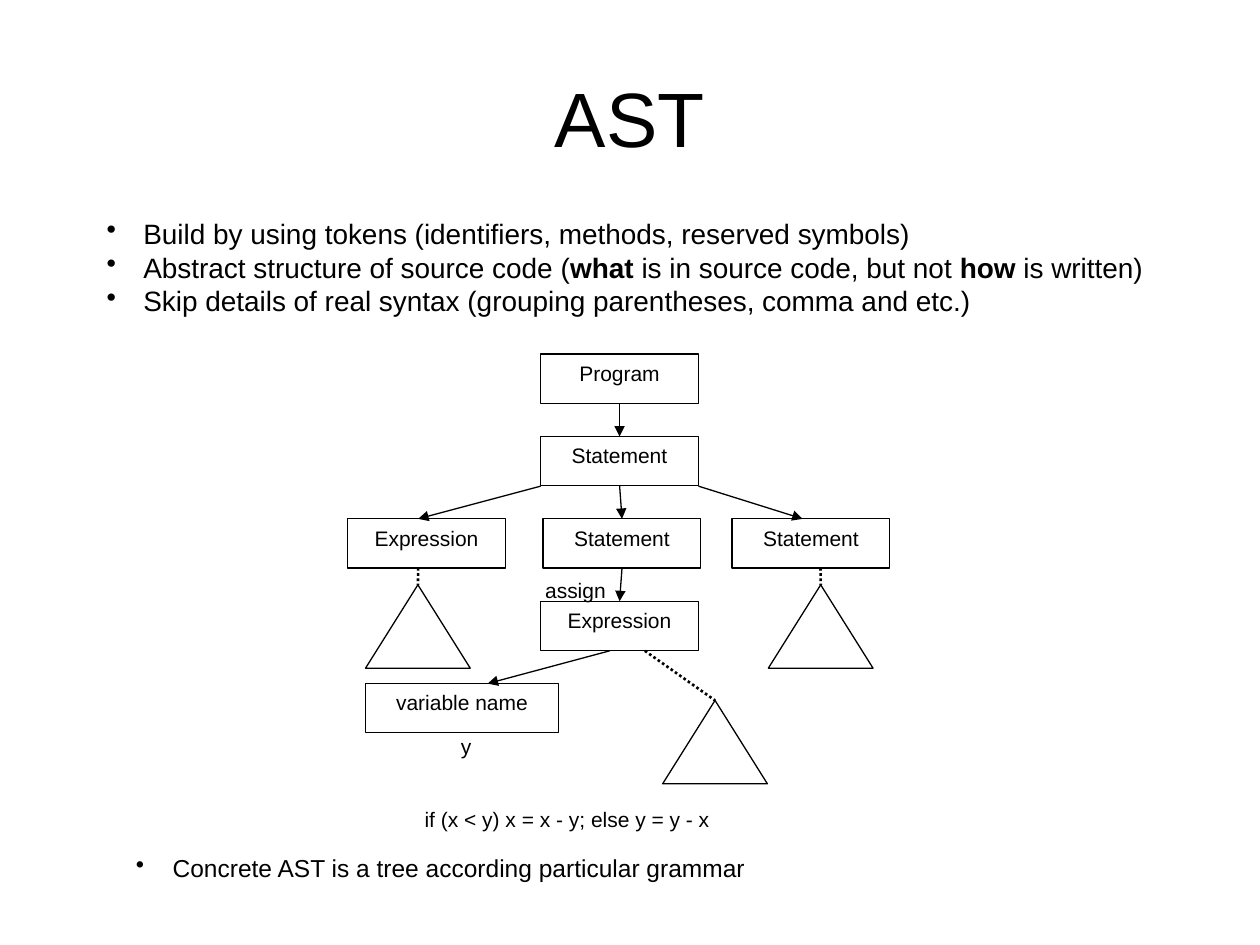
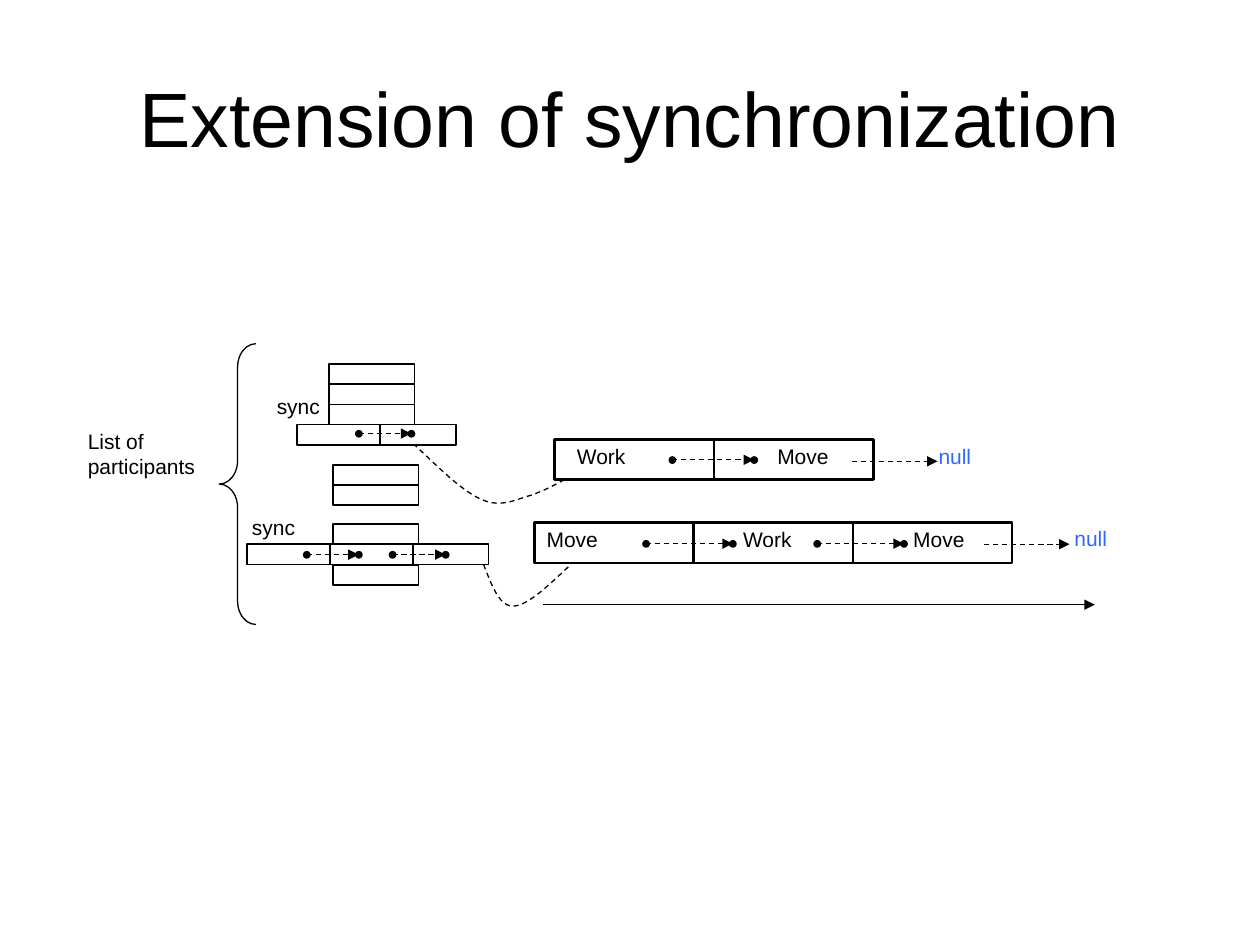
from lxml.etree import SubElement
from pptx import Presentation
from pptx.dml.color import RGBColor
from pptx.enum.dml import MSO_LINE
from pptx.enum.shapes import MSO_CONNECTOR, MSO_SHAPE
from pptx.enum.text import MSO_ANCHOR, PP_ALIGN
from pptx.oxml.ns import qn
from pptx.util import Cm, Pt

COLORS = {"ink": "000000", "paper": "FFFFFF", "null": "3366FF"}
FONT = "Arial"


def color(name):
    """Return the named colour."""
    return RGBColor.from_string(COLORS[name])


def bezier(a, b, c, d, steps=12):
    """Return points along a cubic curve, without its start."""
    points = []
    for i in range(1, steps + 1):
        t = i / steps
        parts = ((1 - t) ** 3, 3 * t * (1 - t) ** 2, 3 * t * t * (1 - t), t ** 3)
        points.append(tuple(sum(k * p[n] for k, p in zip(parts, (a, b, c, d))) for n in (0, 1)))
    return points


class Deck:
    """Holds the style and the current slide."""

    def __init__(self):
        """Start a 10 by 7.5 inch deck."""
        self.file = Presentation()
        self.file.slide_width, self.file.slide_height = Cm(25.4), Cm(19.05)

    def page(self, title):
        """Add a slide with its title."""
        self.slide = self.file.slides.add_slide(self.file.slide_layouts[6])
        self.shapes = self.slide.shapes
        box = self.text(title, 1.27, 0.76, 22.86, 3.18, size=44, align=PP_ALIGN.CENTER)
        box.text_frame.vertical_anchor = MSO_ANCHOR.MIDDLE

    def style(self, para, size=12, ink="ink", align=PP_ALIGN.LEFT):
        """Set the font and alignment of a paragraph."""
        para.alignment = align
        para.font.name, para.font.size = FONT, Pt(size)
        para.font.color.rgb = color(ink)

    def text(self, words, x, y, w, h, **look):
        """Add a wrapped text box."""
        box = self.shapes.add_textbox(Cm(x), Cm(y), Cm(w), Cm(h))
        box.text_frame.word_wrap = True
        para = box.text_frame.paragraphs[0]
        para.text = words
        self.style(para, **look)
        return box

    def list(self, items, x, y, w, h, size):
        """Add bullets; each item is a list of runs, every second one bold."""
        frame = self.text("", x, y, w, h).text_frame
        for i, item in enumerate(items):
            para = frame.add_paragraph() if i else frame.paragraphs[0]
            for n, words in enumerate(item):
                run = para.add_run()
                run.text = words
                if n % 2:
                    run.font.bold = True
            self.style(para, size)
            props = para._p.get_or_add_pPr()
            props.set("marL", str(Cm(0.74)))
            props.set("indent", str(-Cm(0.74)))
            mark = props.makeelement(qn("a:buChar"), {"char": "•"})
            props.insert(0, mark)

    def shape(self, kind, x, y, w, h, fill="paper", width=0.75):
        """Add a preset shape with a black outline."""
        item = self.shapes.add_shape(kind, Cm(x), Cm(y), Cm(w), Cm(h))
        item.shadow.inherit = False
        if fill:
            item.fill.solid()
            item.fill.fore_color.rgb = color(fill)
        else:
            item.fill.background()
        item.line.color.rgb, item.line.width = color("ink"), Pt(width)
        return item

    def node(self, words, x, y, w=3.18):
        """Add a labelled tree node."""
        item = self.shape(MSO_SHAPE.RECTANGLE, x, y, w, 0.99)
        item.text_frame.vertical_anchor = MSO_ANCHOR.TOP
        para = item.text_frame.paragraphs[0]
        para.text = words
        self.style(para, align=PP_ALIGN.CENTER)
        return item

    def line(self, start, end, width=0.75, dash=None, arrow=False, begin=None, finish=None):
        """Add a line, joined to (shape, side) where given."""
        item = self.shapes.add_connector(MSO_CONNECTOR.STRAIGHT, *map(Cm, (*start, *end)))
        if begin:
            item.begin_connect(*begin)
        if finish:
            item.end_connect(*finish)
        item.line.color.rgb, item.line.width = color("ink"), Pt(width)
        if dash:
            item.line.dash_style = dash
        if arrow:
            SubElement(item.line._get_or_add_ln(), qn("a:tailEnd"), type="triangle")
        SubElement(item._element.spPr, qn("a:effectLst"))

    def link(self, top, low):
        """Add an arrow from the bottom of one node to the top of the next."""
        self.line((0, 0), (0, 0), arrow=True, begin=(top, 2), finish=(low, 0))

    def curve(self, points):
        """Add a dashed curve through cubic pieces."""
        track = []
        for i in range(0, len(points) - 1, 3):
            track += bezier(*points[i:i + 4])
        form = self.shapes.build_freeform(*map(Cm, points[0]))
        form.add_line_segments([(Cm(x), Cm(y)) for x, y in track], close=False)
        item = form.convert_to_shape()
        item.shadow.inherit = False
        item.fill.background()
        item.line.color.rgb, item.line.width = color("ink"), Pt(0.75)
        item.line.dash_style = MSO_LINE.DASH

    def stack(self, x, y, w, h, rows):
        """Add a box cut into equal rows."""
        box = self.shape(MSO_SHAPE.RECTANGLE, x, y, w, h, width=1)
        for i in range(1, rows):
            level = y + h * i / rows
            mid = 2 * i == rows
            self.line((x, level), (x + w, level), 1,
                      begin=(box, 1) if mid else None, finish=(box, 3) if mid else None)

    def strip(self, x, y):
        """Add a small sync box with its divider."""
        self.shape(MSO_SHAPE.RECTANGLE, x, y, 3.2, 0.41, width=1)
        self.line((x + 1.67, y), (x + 1.67, y + 0.41), 1)

    def pair(self, x, y):
        """Add a wide box split in two halves."""
        box = self.shape(MSO_SHAPE.RECTANGLE, x, y, 6.43, 0.81, width=1.5)
        self.line((0, 0), (0, 0), 1.5, begin=(box, 0), finish=(box, 2))

    def hop(self, x, end, y):
        """Add a dashed arrow between two dots."""
        self.line((x, y), (end, y), dash=MSO_LINE.DASH, arrow=True)
        for spot in (x, end):
            self.shape(MSO_SHAPE.OVAL, spot - 0.06, y - 0.06, 0.13, 0.13, fill="ink")


def tree(deck):
    """Build the syntax tree slide."""
    deck.page("AST")
    rows = [7.14 + 1.66 * i for i in range(5)]
    root = deck.node("Program", 10.9, rows[0])
    state = deck.node("Statement", 10.9, rows[1])
    deck.node("Expression", 7.01, rows[2])
    then = deck.node("Statement", 10.95, rows[2])
    deck.node("Statement", 14.76, rows[2])
    expr = deck.node("Expression", 10.9, rows[3])
    deck.node("variable name", 7.37, rows[4], 3.89)
    for top, low in ((root, state), (state, then), (then, expr)):
        deck.link(top, low)
    for start, end in (((10.9, 9.8), (8.43, rows[2])), ((14.08, 9.8), (16.18, rows[2])),
                       ((12.29, 13.12), (9.83, rows[4]))):
        deck.line(start, end, arrow=True)
    for x, y, start in ((7.37, 11.79, (8.43, 11.45)), (15.49, 11.79, (16.54, 11.45)),
                        (13.36, 14.12, (13, 13.12))):
        leaf = deck.shape(MSO_SHAPE.FLOWCHART_EXTRACT, x, y, 2.11, 1.68)
        deck.line(start, (x, y), 1.5, MSO_LINE.ROUND_DOT, finish=(leaf, 0))
    deck.text("y", 9.04, 14.66, 0.71, 0.99)
    deck.text("assign", 10.74, 11.51, 1.75, 0.99)
    deck.text("if (x < y) x = x - y; else y = y - x", 8.31, 16.13, 9.53, 0.99)
    deck.list([["Build by using tokens (identifiers, methods, reserved symbols)"],
               ["Abstract structure of source code (", "what",
                " is in source code, but not ", "how", " is written)"],
               ["Skip details of real syntax (grouping parentheses, comma and etc.)"]],
              1.9, 4.24, 22.4, 2.29, 16)
    deck.list([["Concrete AST is a tree according particular grammar"]],
              2.49, 17.07, 21.41, 0.86, 14)


def sync(deck):
    """Build the synchronization slide."""
    deck.page("Extension of synchronization")
    brace = deck.shape(MSO_SHAPE.LEFT_BRACE, 4.42, 6.93, 0.74, 5.66, fill=None)
    brace.adjustments[0] = 0.64
    deck.curve([(8.33, 8.94), (8.84, 9.42), (9.32, 9.91), (9.73, 10.08), (10.13, 10.24),
                (10.41, 10.06), (10.72, 9.98), (11, 9.88), (11.28, 9.73), (11.53, 9.58)])
    deck.curve([(9.75, 11.38), (9.91, 11.79), (10.06, 12.22), (10.34, 12.22),
                (10.64, 12.22), (11.07, 11.79), (11.51, 11.38)])
    deck.stack(6.63, 7.34, 1.73, 1.63, 4)
    deck.stack(6.71, 10.57, 1.73, 1.22, 3)
    deck.stack(6.71, 9.37, 1.73, 0.81, 2)
    for x, y in ((5.99, 8.56), (4.98, 10.97), (6.65, 10.97)):
        deck.strip(x, y)
    for x, y in ((11.18, 8.86), (13.97, 10.54), (10.77, 10.54)):
        deck.pair(x, y)
    for x, end, y in ((6.18, 7.23, 11.18), (7.91, 8.98, 11.18), (7.23, 8.29, 8.74),
                      (13.55, 15.2, 9.27), (13.02, 14.77, 10.96), (16.47, 18.22, 10.96)):
        deck.hop(x, end, y)
    for x, end, y in ((17.17, 18.9, 9.3), (19.84, 21.56, 10.97)):
        deck.line((x, y), (end, y), dash=MSO_LINE.DASH, arrow=True)
    deck.line((10.95, 12.19), (22.07, 12.19), arrow=True)
    for words, x, y in (("Work", 11.38, 8.81), ("Move", 15.42, 8.81), ("Move", 10.77, 10.49),
                        ("Work", 14.73, 10.49), ("Move", 18.16, 10.49)):
        deck.text(words, x, y, 2.46, 0.81)
    for x, y in ((5.33, 7.8), (4.83, 10.24)):
        deck.text("sync", x, y, 1.73, 1.1)
    for x, y in ((18.67, 8.81), (21.41, 10.46)):
        deck.text("null", x, y, 1.65, 1.22, ink="null")
    deck.text("List of participants", 1.52, 8.51, 3.23, 2.87)


def main():
    """Build and save the deck."""
    deck = Deck()
    tree(deck)
    sync(deck)
    deck.file.save("out.pptx")


if __name__ == "__main__":
    main()
